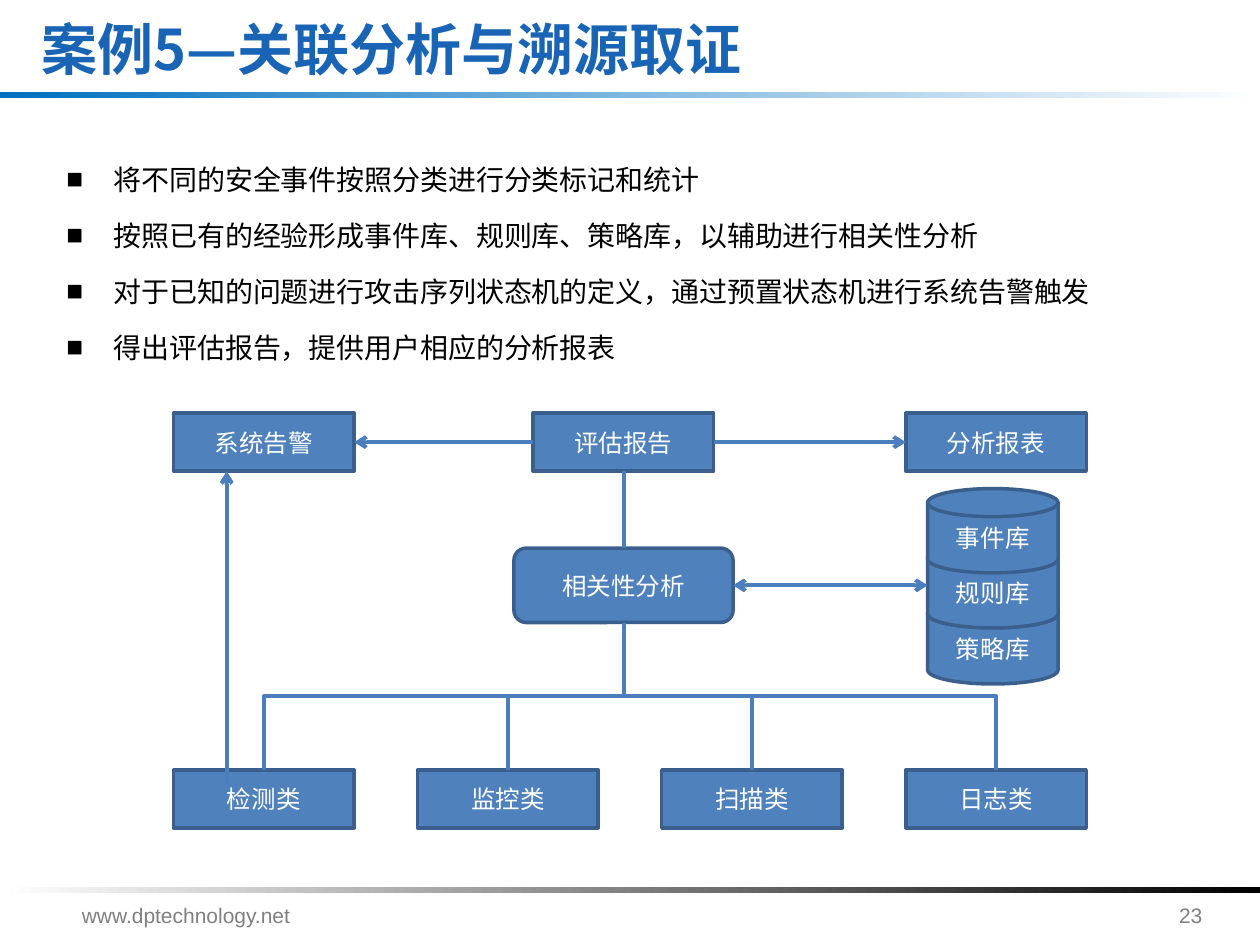
from pptx import Presentation
from pptx.dml.color import RGBColor as Rgb
from pptx.enum.shapes import MSO_CONNECTOR as Conn, MSO_SHAPE as Geo
from pptx.enum.text import MSO_ANCHOR as Anchor, PP_ALIGN as Align
from pptx.oxml.ns import qn
from pptx.util import Cm, Pt
from lxml.etree import SubElement as Sub

HUES = {
    "title": "1964B4", "bar": "0070C0", "black": "000000", "white": "FFFFFF",
    "grey": "808080", "box": "4F81BD", "edge": "3A5F8C", "link": "4B7EBC",
}
SANS, CJK = "Arial", "Noto Sans CJK SC"


class Deck:
    def __init__(self):
        self.prs = Presentation()
        self.prs.slide_width, self.prs.slide_height = Cm(25.4), Cm(19.05)
        self.slide = self.prs.slides.add_slide(self.prs.slide_layouts[5])
        self.shapes = self.slide.shapes

    def hue(self, name):
        return Rgb.from_string(HUES[name])

    def style(self, frame, size, hue, font=CJK, bold=False, align=Align.LEFT):
        for para in frame.paragraphs:
            para.alignment = align
            for run in para.runs:
                run.font.size, run.font.bold = Pt(size), bold
                run.font.name = font
                run.font.color.rgb = self.hue(hue)
                Sub(run.font._element, qn("a:ea"), typeface=font)

    def title(self, text, x, y, w, h):
        head = self.shapes.title
        head.left, head.top, head.width, head.height = map(Cm, (x, y, w, h))
        frame = head.text_frame
        frame.text = text
        frame.vertical_anchor = Anchor.MIDDLE
        self.style(frame, 32, "title", bold=True)

    def bar(self, y, hue, turn=0):
        bar = self.shapes.add_shape(Geo.RECTANGLE, 0, Cm(y), Cm(25.4), Cm(0.13))
        bar.shadow.inherit = False
        bar.line.fill.background()
        bar.rotation = turn
        bar.fill.gradient()
        bar.fill.gradient_angle = 0
        for stop, name in zip(bar.fill.gradient_stops, (hue, "white")):
            stop.color.rgb = self.hue(name)

    def text(self, text, x, y, w, h):
        frame = self.shapes.add_textbox(*map(Cm, (x, y, w, h))).text_frame
        frame.word_wrap = True
        frame.text = text
        return frame

    def note(self, text, x, w):
        self.style(self.text(text, x, 18.06, w, 0.99), 12, "grey", SANS)

    def bullets(self, lines, x, y, w, h):
        frame = self.text("\n".join(lines), x, y, w, h)
        for para in frame.paragraphs:
            props = para._p.get_or_add_pPr()
            props.set("marL", str(Cm(0.95)))
            props.set("indent", str(-Cm(0.95)))
            Sub(props, qn("a:buFont"), typeface=SANS)
            Sub(props, qn("a:buChar"), char="■")
            para.line_spacing = Pt(32)
        self.style(frame, 16, "black")

    def box(self, text, x, y, w=3.64, h=1.17, geo=Geo.RECTANGLE):
        box = self.shapes.add_shape(geo, *map(Cm, (x, y, w, h)))
        box.shadow.inherit = False
        box.fill.solid()
        box.fill.fore_color.rgb = self.hue("box")
        box.line.color.rgb, box.line.width = self.hue("edge"), Pt(2)
        frame = box.text_frame
        frame.margin_top = frame.margin_bottom = 0
        frame.vertical_anchor = Anchor.MIDDLE
        frame.text = text
        self.style(frame, 14, "white", align=Align.CENTER)

    def link(self, x1, y1, x2, y2, ends=(), kind=Conn.STRAIGHT):
        link = self.shapes.add_connector(kind, *map(Cm, (x1, y1, x2, y2)))
        link.line.color.rgb, link.line.width = self.hue("link"), Pt(2.25)
        for end in ends:
            Sub(link.line._get_or_add_ln(), qn(f"a:{end}End"), type="arrow")
        Sub(link._element.spPr, qn("a:effectLst"))
        return link

    def branch(self, x1, y1, x2, y2):
        # An elbow runs sideways first, so lay it flat and turn it upright
        mid, half = (x1 + x2) / 2, (y2 - y1) / 2
        level, reach = (y1 + y2) / 2, abs(x2 - x1) / 2
        side = 1 if x2 < x1 else -1
        link = self.link(mid - side * half, level - reach,
                         mid + side * half, level + reach, kind=Conn.ELBOW)
        turn = 90 if side > 0 else 270
        link._element.spPr.xfrm.set("rot", str(turn * 60000))


def main():
    deck = Deck()

    # Frame of the page
    deck.bar(1.85, "bar")
    deck.bar(17.88, "black", 180)
    deck.note("23", 23.52, 1.5)
    deck.note("www.dptechnology.net", 1.4, 4.95)
    deck.title("案例5—关联分析与溯源取证", 0.58, 0.41, 20.9, 1.12)

    # Key points
    deck.bullets([
        "将不同的安全事件按照分类进行分类标记和统计",
        "按照已有的经验形成事件库、规则库、策略库，以辅助进行相关性分析",
        "对于已知的问题进行攻击序列状态机的定义，通过预置状态机进行系统告警触发",
        "得出评估报告，提供用户相应的分析报表",
    ], 1.09, 2.7, 23.4, 4.78)

    # Sources, analysis, databases and results
    left, step, wide, high = 3.5, 4.92, 3.64, 1.17
    top, base, hub = 8.33, 15.52, 12.57
    cols = [left + i * step for i in range(4)]
    for name, x in zip(("检测类", "监控类", "扫描类", "日志类"), cols):
        deck.box(name, x, base)
    deck.box("相关性分析", hub - 2.21, 11.05, 4.42, 1.5, Geo.ROUNDED_RECTANGLE)
    for name, y in (("策略库", 12.09), ("规则库", 10.96), ("事件库", 9.85)):
        deck.box(name, 18.7, y, 2.63, 1.7, Geo.FLOWCHART_MAGNETIC_DISK)
    report = hub - wide / 2
    for name, x in zip(("系统告警", "评估报告", "分析报表"), (left, report, cols[3])):
        deck.box(name, x, top)

    # Links
    row = top + high / 2
    deck.link(report + wide, row, cols[3], row, ["tail"])
    deck.link(report, row, left + wide, row, ["tail"])
    deck.link(4.57, 15.8, 4.57, top + high, ["tail"])
    for x in cols:
        deck.branch(hub, 12.55, x + wide / 2, base)
    deck.link(hub + 2.21, 11.8, 18.7, 11.8, ["head", "tail"])
    deck.link(hub, top + high, hub, 11.05)

    deck.prs.save("out.pptx")


if __name__ == "__main__":
    main()
